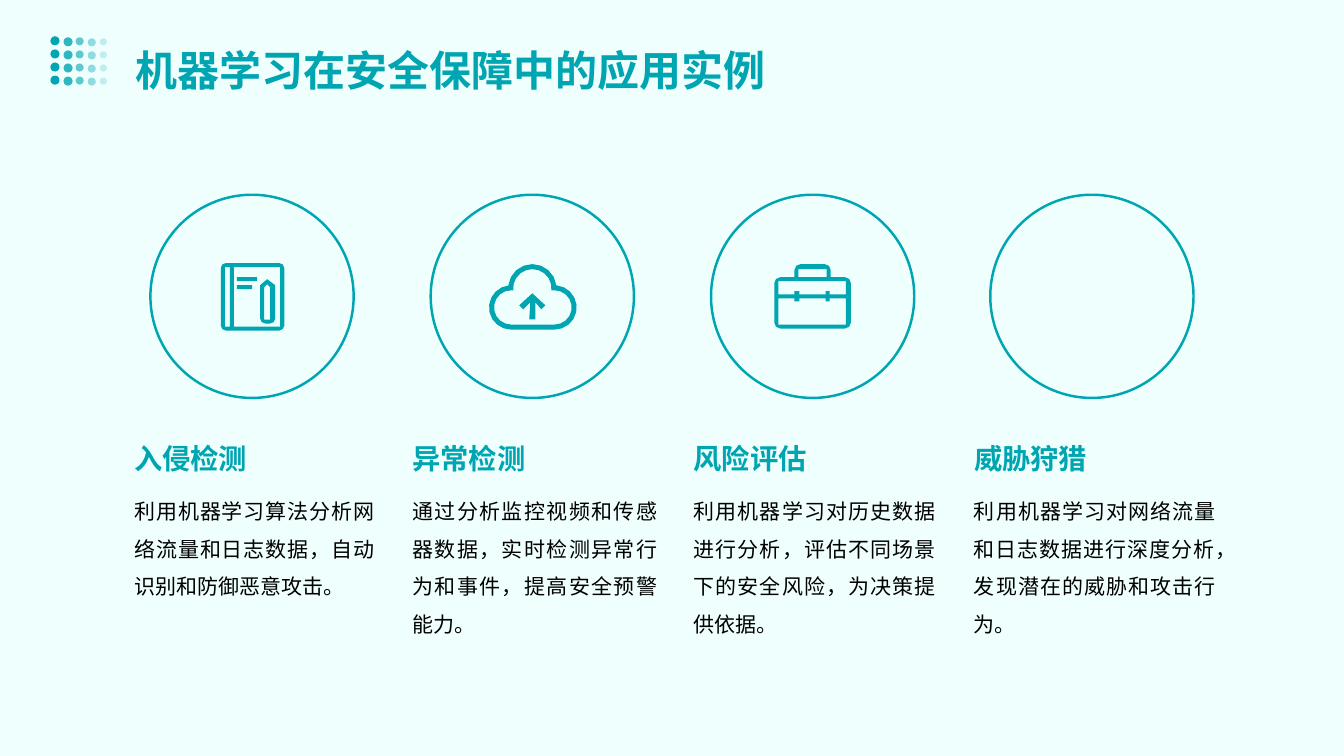
import math

from lxml import etree
from pptx import Presentation
from pptx import util as u
from pptx.dml.color import RGBColor
from pptx.enum import lang, shapes, text
from pptx.oxml.ns import qn

TEAL = "00A5B2"
BLACK = "000000"
BACKGROUND = "EFFFFD"

# ring left, text left, heading width, description width, heading, description
COLUMNS = [
    (1.48, 1.24, 2.76, 2.53, "入侵检测",
     "利用机器学习算法分析网络流量和日志数据，自动识别和防御恶意攻击。"),
    (4.26, 4, 2.79, 2.57, "异常检测",
     "通过分析监控视频和传感器数据，实时检测异常行为和事件，提高安全预警能力。"),
    (7.04, 6.79, 2.78, 2.54, "风险评估",
     "利用机器学习对历史数据进行分析，评估不同场景下的安全风险，为决策提供依据。"),
    (9.81, 9.57, 2.79, 2.54, "威胁狩猎",
     "利用机器学习对网络流量和日志数据进行深度分析，发现潜在的威胁和攻击行为。"),
]

# left, top in the first row, diameter
DOTS = [(0.5, 0.36, 0.09), (0.63, 0.37, 0.09), (0.75, 0.37, 0.08),
        (0.87, 0.38, 0.08), (0.99, 0.38, 0.07)]


def color(value):
    return RGBColor.from_string(value)


def arc(x, y, radius, start, end):
    """Points along an arc; angles in degrees, clockwise from the right."""
    steps = round(abs(end - start) / (45 if radius < 0.1 else 20))
    angles = [math.radians(start + (end - start) * i / steps) for i in range(steps + 1)]
    return [(x + radius * math.cos(a), y + radius * math.sin(a)) for a in angles]


def box(left, top, right, bottom):
    return [(left, top), (right, top), (right, bottom), (left, bottom)]


def rounded(left, top, right, bottom, radius):
    corners = box(left + radius, top + radius, right - radius, bottom - radius)
    return [point for i, (x, y) in enumerate(corners)
            for point in arc(x, y, radius, 180 + 90 * i, 270 + 90 * i)]


def cloud(side_radius, top_radius, side_end, top_end):
    """Three-lobed outline; the end angles tell where the lobes meet."""
    return (arc(5.5, 3.05, side_radius, 90, side_end)
            + arc(5.28, 2.86, top_radius, top_end, -180 - top_end)
            + arc(5.07, 3.05, side_radius, -180 - side_end, -270))


def compartment(far, divider, notch):
    """Opening in the briefcase, with two clasps cut into the divider side."""
    points = [(7.72, far), (8.39, far), (8.39, divider)]
    for right, left in ((8.23, 8.19), (7.93, 7.88)):
        points += [(right, divider), (right, notch), (left, notch), (left, divider)]
    return points + [(7.72, divider)]


class SlideBuilder:
    font_name = "Noto Sans CJK SC"

    def __init__(self, presentation):
        self.slide = presentation.slides.add_slide(presentation.slide_layouts[6])
        fill = self.slide.background.fill
        fill.solid()
        fill.fore_color.rgb = color(BACKGROUND)

    def paint(self, shape, opacity=100):
        shape.shadow.inherit = False
        shape.fill.solid()
        shape.fill.fore_color.rgb = color(TEAL)
        shape.line.fill.background()
        if opacity < 100:
            tint = shape.fill._xPr.find(qn("a:solidFill"))[0]
            etree.SubElement(tint, qn("a:alpha")).set("val", str(opacity * 1000))

    def preset(self, kind, left, top, width, height, opacity=100):
        shape = self.slide.shapes.add_shape(
            kind, u.Inches(left), u.Inches(top), u.Inches(width), u.Inches(height))
        self.paint(shape, opacity)
        return shape

    def outline(self, *contours):
        """Filled shape; contours after the first are holes."""
        scaled = [[(u.Inches(x), u.Inches(y)) for x, y in contour] for contour in contours]
        builder = self.slide.shapes.build_freeform(*scaled[0][0])
        builder.add_line_segments(scaled[0][1:], close=True)
        for hole in scaled[1:]:
            builder.move_to(*hole[0])
            builder.add_line_segments(hole[1:], close=True)
        self.paint(builder.convert_to_shape())

    def label(self, place, wording, size, hue, inset, bold=False, spacing=None, justify=False):
        shape = self.slide.shapes.add_textbox(*[u.Inches(value) for value in place])
        frame = shape.text_frame
        frame.word_wrap = True
        frame.margin_left = frame.margin_top = frame.margin_bottom = u.Inches(inset)
        frame.margin_right = u.Inches(0.05)
        paragraph = frame.paragraphs[0]
        if spacing:
            paragraph.line_spacing = spacing
        if justify:
            paragraph.alignment = text.PP_ALIGN.JUSTIFY
        run = paragraph.add_run()
        run.text = wording
        font = run.font
        font.name = self.font_name
        font.size = u.Pt(size)
        font.bold = bold
        font.color.rgb = color(hue)
        font.language_id = lang.MSO_LANGUAGE_ID.SIMPLIFIED_CHINESE
        east_asian = etree.SubElement(font._element, qn("a:ea"))
        east_asian.set("typeface", self.font_name)
        return frame


def draw_book(builder):
    builder.outline(rounded(2.19, 2.61, 2.82, 3.28, 0.05),
                    box(2.23, 2.65, 2.28, 3.24), box(2.32, 2.65, 2.78, 3.24))
    for top, width in ((2.83, 0.15), (2.75, 0.2)):
        builder.preset(shapes.MSO_SHAPE.RECTANGLE, 2.35, top, width, 0.04)
    pencil = ([(2.65, 2.77), (2.58, 2.83)] + arc(2.63, 3.16, 0.05, 180, 90)
              + arc(2.68, 3.16, 0.05, 90, 0) + [(2.73, 2.83)])
    builder.outline(pencil, [(2.65, 2.82), (2.62, 2.85), (2.62, 3.17),
                             (2.68, 3.17), (2.68, 2.85)])


def draw_cloud(builder):
    builder.outline([(5.15, 3.03), (5.19, 3.07), (5.26, 3), (5.25, 3.17), (5.31, 3.17),
                     (5.31, 3), (5.37, 3.07), (5.41, 3.03), (5.28, 2.91)])
    builder.outline(cloud(0.22, 0.24, -85, -7), cloud(0.17, 0.19, -90, 6))


def draw_briefcase(builder):
    case = (arc(7.74, 2.81, 0.06, 180, 270)
            + [(7.88, 2.75)] + arc(7.94, 2.68, 0.06, 180, 270)
            + arc(8.18, 2.68, 0.06, 270, 360) + [(8.24, 2.75)]
            + arc(8.38, 2.81, 0.06, 270, 360)
            + arc(8.38, 3.2, 0.06, 0, 90) + arc(7.74, 3.2, 0.06, 90, 180))
    builder.outline(case, box(7.92, 2.67, 8.2, 2.75),
                    compartment(2.79, 2.92, 2.89), compartment(3.22, 2.96, 2.99))


def draw_dots(builder):
    for row in range(4):
        for column, (left, top, size) in enumerate(DOTS):
            builder.preset(shapes.MSO_SHAPE.OVAL, left, top + 0.13 * row,
                           size, size, 100 - 20 * column)


def main():
    presentation = Presentation()
    presentation.slide_width = u.Inches(13.33)
    presentation.slide_height = u.Inches(7.5)
    builder = SlideBuilder(presentation)

    for ring_left, left, heading_width, width, heading, description in COLUMNS:
        ring = builder.preset(shapes.MSO_SHAPE.DONUT, ring_left, 1.92, 2.04, 2.04)
        ring.adjustments[0] = 0.012
        builder.label((left, 4.29, heading_width, 0.45), heading, 20.2, TEAL, 0.09, bold=True)
        builder.label((left, 4.73, width, 1.74), description, 15, BLACK, 0.09,
                      spacing=1.5, justify=True)

    draw_book(builder)
    draw_cloud(builder)
    draw_briefcase(builder)
    draw_dots(builder)
    title = builder.label((1.2, 0.1, 10.94, 1), "机器学习在安全保障中的应用实例", 30, TEAL, 0.14,
                          bold=True, spacing=1.4)
    title.auto_size = text.MSO_AUTO_SIZE.SHAPE_TO_FIT_TEXT
    presentation.save("out.pptx")


if __name__ == "__main__":
    main()
